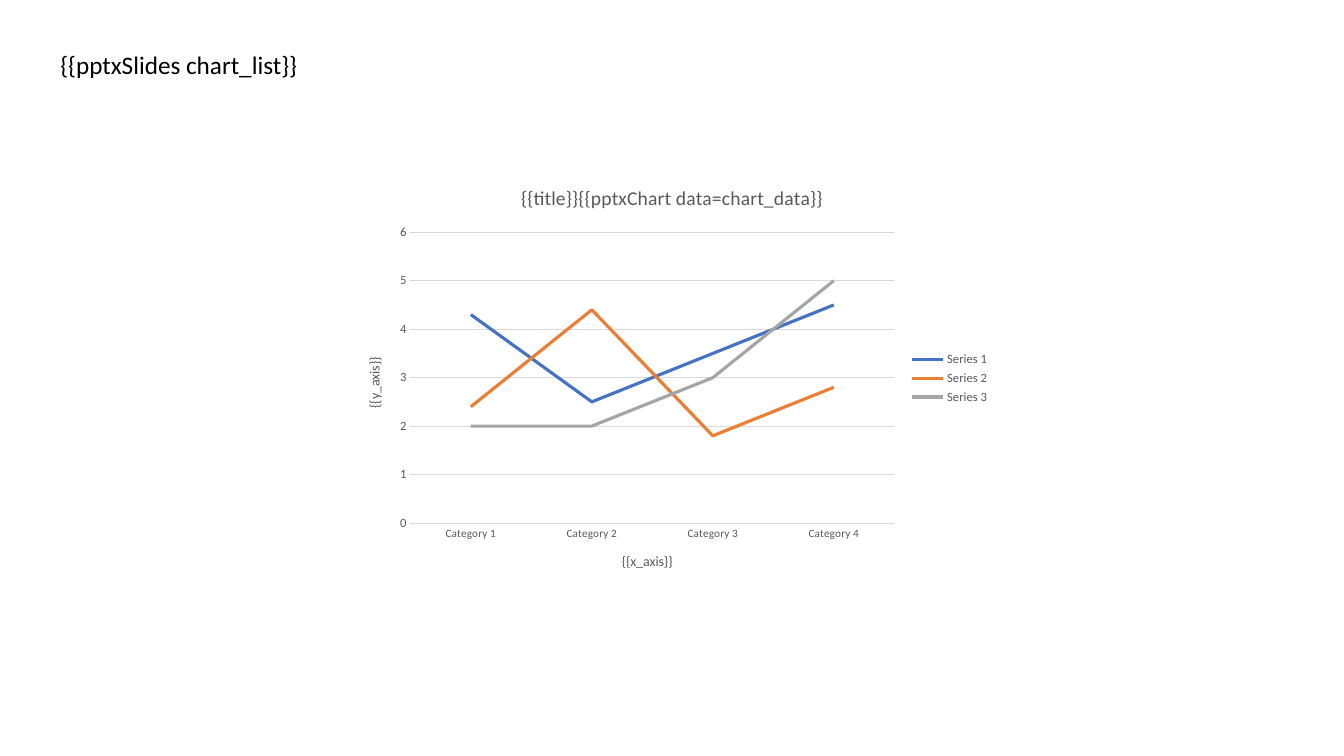
from pptx import Presentation
from pptx import util as u
from pptx.chart import data
from pptx.dml.color import RGBColor
from pptx.enum import chart as ch
from pptx.enum import text

BLACK = RGBColor(0x00, 0x00, 0x00)
GREY = RGBColor(0x59, 0x59, 0x59)
RULE = RGBColor(0xD9, 0xD9, 0xD9)
BLUE = RGBColor(0x44, 0x72, 0xC4)
ORANGE = RGBColor(0xED, 0x7D, 0x31)
SILVER = RGBColor(0xA5, 0xA5, 0xA5)


def style(font, size, color):
    font.name = "Calibri"
    font.size = u.Pt(size)
    font.bold = False
    font.color.rgb = color


def label(owner, words, size):
    frame = owner.text_frame
    frame.text = words
    style(frame.paragraphs[0].runs[0].font, size, GREY)


prs = Presentation()
prs.slide_width, prs.slide_height = u.Cm(33.87), u.Cm(19.05)
slide = prs.slides.add_slide(prs.slide_layouts[6])

# Heading
box = slide.shapes.add_textbox(u.Cm(1.27), u.Cm(1.12), u.Cm(11.25), u.Cm(1.03))
frame = box.text_frame
frame.word_wrap = True
frame.auto_size = text.MSO_AUTO_SIZE.SHAPE_TO_FIT_TEXT
frame.text = "{{pptxSlides chart_list}}"
style(frame.paragraphs[0].runs[0].font, 18, BLACK)

# Chart data
lines = [
    ("Series 1", (4.3, 2.5, 3.5, 4.5), BLUE),
    ("Series 2", (2.4, 4.4, 1.8, 2.8), ORANGE),
    ("Series 3", (2, 2, 3, 5), SILVER),
]
table = data.CategoryChartData()
table.categories = [f"Category {n}" for n in range(1, 5)]
for name, vals, _ in lines:
    table.add_series(name, vals)

# Line chart
chart = slide.shapes.add_chart(
    ch.XL_CHART_TYPE.LINE, u.Cm(8.69), u.Cm(4.2), u.Cm(16.5), u.Cm(10.67), table
).chart
style(chart.font, 10, BLACK)
label(chart.chart_title, "{{title}}{{pptxChart data=chart_data}}", 14)
chart.chart_title.include_in_layout = False
plot = chart.plots[0]
plot.vary_by_categories = False
for series, (_, _, color) in zip(plot.series, lines):
    series.smooth = False
    series.format.line.color.rgb = color
    series.format.line.width = u.Pt(2.25)

# Legend
chart.has_legend = True
chart.legend.position = ch.XL_LEGEND_POSITION.RIGHT
chart.legend.include_in_layout = False
style(chart.legend.font, 9, GREY)

# Axes
xaxis, yaxis = chart.category_axis, chart.value_axis
for axis, words, size in ((xaxis, "{{x_axis}}", 8), (yaxis, "{{y_axis}}", 9)):
    label(axis.axis_title, words, 10)
    style(axis.tick_labels.font, size, GREY)
    axis.major_tick_mark = axis.minor_tick_mark = ch.XL_TICK_MARK.NONE
yaxis.minimum_scale, yaxis.maximum_scale, yaxis.major_unit = 0, 6, 1
yaxis.format.line.fill.background()
yaxis.has_major_gridlines = True
for rule in (xaxis.format.line, yaxis.major_gridlines.format.line):
    rule.color.rgb = RULE
    rule.width = u.Pt(0.75)

prs.save("out.pptx")
